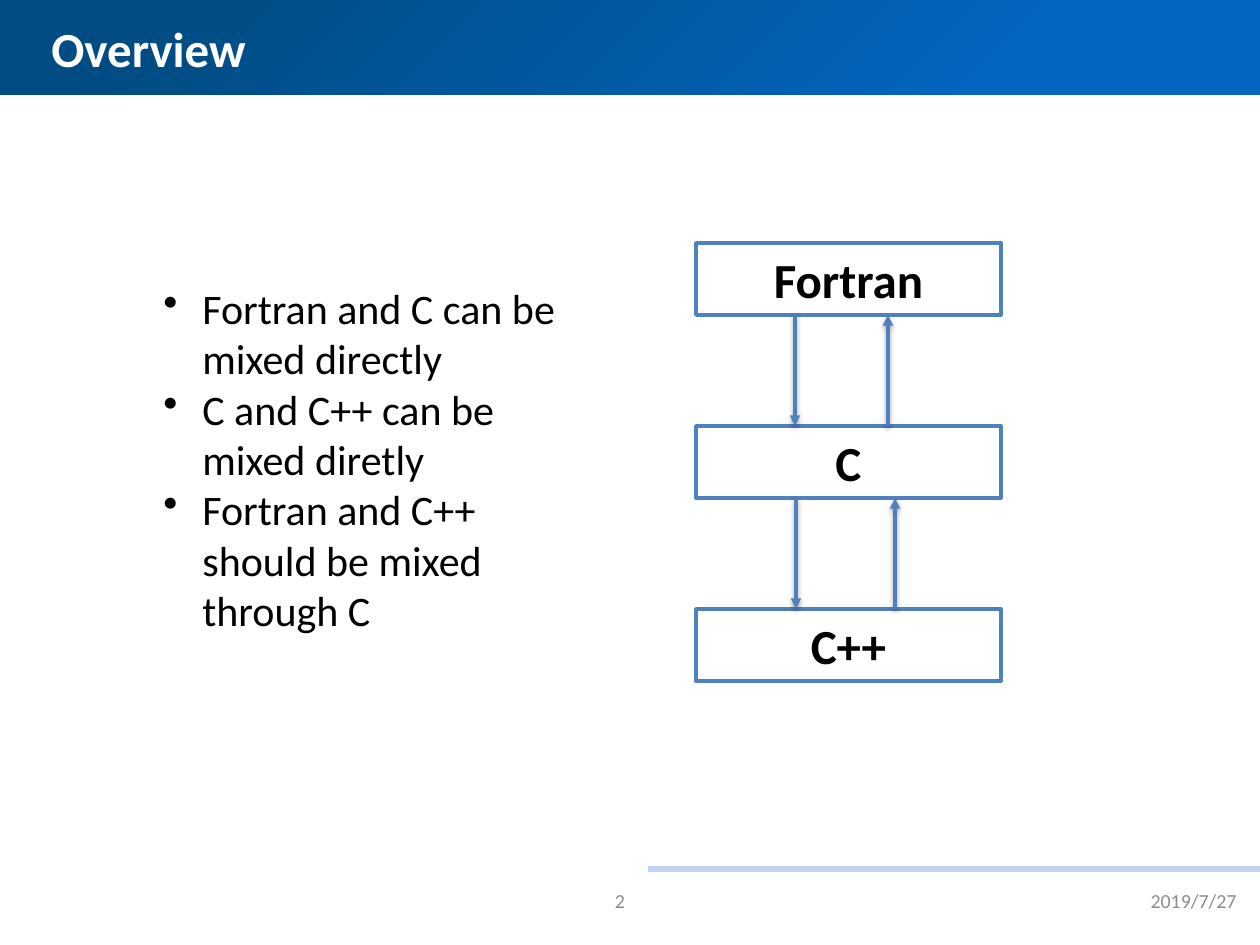
import pptx
import pptx.dml.color
import pptx.enum.shapes
import pptx.enum.text
import pptx.oxml
import pptx.oxml.ns
import pptx.util

WHITE = pptx.dml.color.RGBColor(0xFF, 0xFF, 0xFF)
BLACK = pptx.dml.color.RGBColor(0x00, 0x00, 0x00)
GREY = pptx.dml.color.RGBColor(0x8C, 0x8C, 0x8C)
BLUE = pptx.dml.color.RGBColor(0x4F, 0x81, 0xBD)
PALE_BLUE = pptx.dml.color.RGBColor(0xC2, 0xD1, 0xED)
BAND_LIGHT = pptx.dml.color.RGBColor(0x02, 0x65, 0xBF)
BAND_DARK = pptx.dml.color.RGBColor(0x01, 0x4C, 0x83)

ALIGN = pptx.enum.text.PP_ALIGN
ANCHOR = pptx.enum.text.MSO_ANCHOR
RECTANGLE = pptx.enum.shapes.MSO_SHAPE.RECTANGLE
STRAIGHT = pptx.enum.shapes.MSO_CONNECTOR.STRAIGHT
EMU_PER_PX = 914400 / 126

HEADING = {"size": pptx.util.Pt(28), "bold": True}
BODY = {"size": pptx.util.Pt(24)}
FOOTER = {"size": pptx.util.Pt(11.4)}


def px(*lengths):
    """Turn pixel lengths into EMU."""
    return [pptx.util.Emu(round(length * EMU_PER_PX)) for length in lengths]


def xml(tag, content="", **attributes):
    """Build one drawing element with the given inner markup."""
    element = pptx.oxml.parse_xml(
        f'<a:{tag} {pptx.oxml.ns.nsdecls("a")}>{content}</a:{tag}>')
    for name, value in attributes.items():
        element.set(name, str(value))
    return element


class SlideBuilder:
    """Hold the style and the current slide."""

    def __init__(self, slide, font_name="Calibri", line_width=2):
        self.shapes = slide.shapes
        self.font_name = font_name
        self.line_width = line_width

    def set_text(self, shape, lines, style, color, align=ALIGN.LEFT,
                 anchor=ANCHOR.MIDDLE, bullet_indent=0):
        """Fill a shape with formatted paragraphs."""
        frame = shape.text_frame
        frame.word_wrap = True
        frame.vertical_anchor = anchor
        frame.text = "\n".join(lines)
        for para in frame.paragraphs:
            para.alignment = align
            font = para.runs[0].font
            for name, value in {"name": self.font_name, **style}.items():
                setattr(font, name, value)
            font.color.rgb = color
            if bullet_indent:
                indent = px(bullet_indent)[0]
                properties = para._p.get_or_add_pPr()
                properties.set("marL", str(indent))
                properties.set("indent", str(-indent))
                properties.append(xml("buChar", char="•"))

    def text(self, place, lines, style, color, **layout):
        """Add a text box."""
        self.set_text(self.shapes.add_textbox(*px(*place)), lines, style, color, **layout)

    def band(self, place):
        """Add a rectangle with a gradient spreading from its lower right corner."""
        band = self.shapes.add_shape(RECTANGLE, *px(*place))
        band.shadow.inherit = False
        band.line.fill.background()
        band.fill.gradient()
        stops = ((0.21, BAND_LIGHT), (0.86, BAND_DARK))
        for stop, (position, color) in zip(band.fill.gradient_stops, stops):
            stop.position = position
            stop.color.rgb = color
        gradient = band.element.spPr.find(pptx.oxml.ns.qn("a:gradFill"))
        gradient.remove(gradient.find(pptx.oxml.ns.qn("a:lin")))
        gradient.append(xml("path", '<a:fillToRect l="100000" t="100000"/>', path="circle"))

    def box(self, place, label):
        """Add an outlined box with a bold centred label."""
        box = self.shapes.add_shape(RECTANGLE, *px(*place))
        box.shadow.inherit = False
        box.fill.solid()
        box.fill.fore_color.rgb = WHITE
        box.line.color.rgb = BLUE
        box.line.width = pptx.util.Pt(self.line_width)
        self.set_text(box, [label], HEADING, BLACK, align=ALIGN.CENTER)

    def line(self, ends, color, width, effect=""):
        """Add a straight line."""
        line = self.shapes.add_connector(STRAIGHT, *px(*ends))
        line.line.color.rgb = color
        line.line.width = pptx.util.Pt(width)
        line.element.spPr.append(xml("effectLst", effect))
        return line

    def arrow(self, ends):
        """Add an arrow with a soft shadow below it."""
        shadow = ('<a:outerShdw blurRad="40000" dist="20000" dir="5400000" rotWithShape="0">'
                  '<a:srgbClr val="000000"><a:alpha val="38000"/></a:srgbClr></a:outerShdw>')
        arrow = self.line(ends, BLUE, self.line_width, shadow)
        outline = arrow.element.spPr.find(pptx.oxml.ns.qn("a:ln"))
        outline.append(xml("tailEnd", type="triangle"))


def main():
    """Build the overview slide and save it."""
    deck = pptx.Presentation()
    deck.slide_width, deck.slide_height = px(1260, 945)
    page = SlideBuilder(deck.slides.add_slide(deck.slide_layouts[6]))

    page.band((0, 0, 1260, 95))
    page.line((1260, 869, 648, 869), PALE_BLUE, 3.25)
    page.text((39, 1, 1062, 93), ["Overview"], HEADING, WHITE)
    page.text((955, 876, 294, 50), ["2019/7/27"], FOOTER, GREY, align=ALIGN.RIGHT)
    page.text((473, 876, 294, 50), ["2"], FOOTER, GREY, align=ALIGN.CENTER)

    top, height, pitch = 243, 72, 183
    for row, language in enumerate(("Fortran", "C", "C++")):
        page.box((696, top + row * pitch, 305, height), language)
    for row, (down, up) in enumerate(((795, 888), (796, 895))):
        upper = top + row * pitch + height
        lower = top + (row + 1) * pitch
        page.arrow((down, upper, down, lower))
        page.arrow((up, lower, up, upper))

    page.text((151, 276, 456, 369),
              ["Fortran and C can be mixed directly",
               "C and C++ can be mixed diretly",
               "Fortran and C++ should be mixed through C"],
              BODY, BLACK, anchor=ANCHOR.TOP, bullet_indent=39)
    deck.save("out.pptx")


if __name__ == "__main__":
    main()
